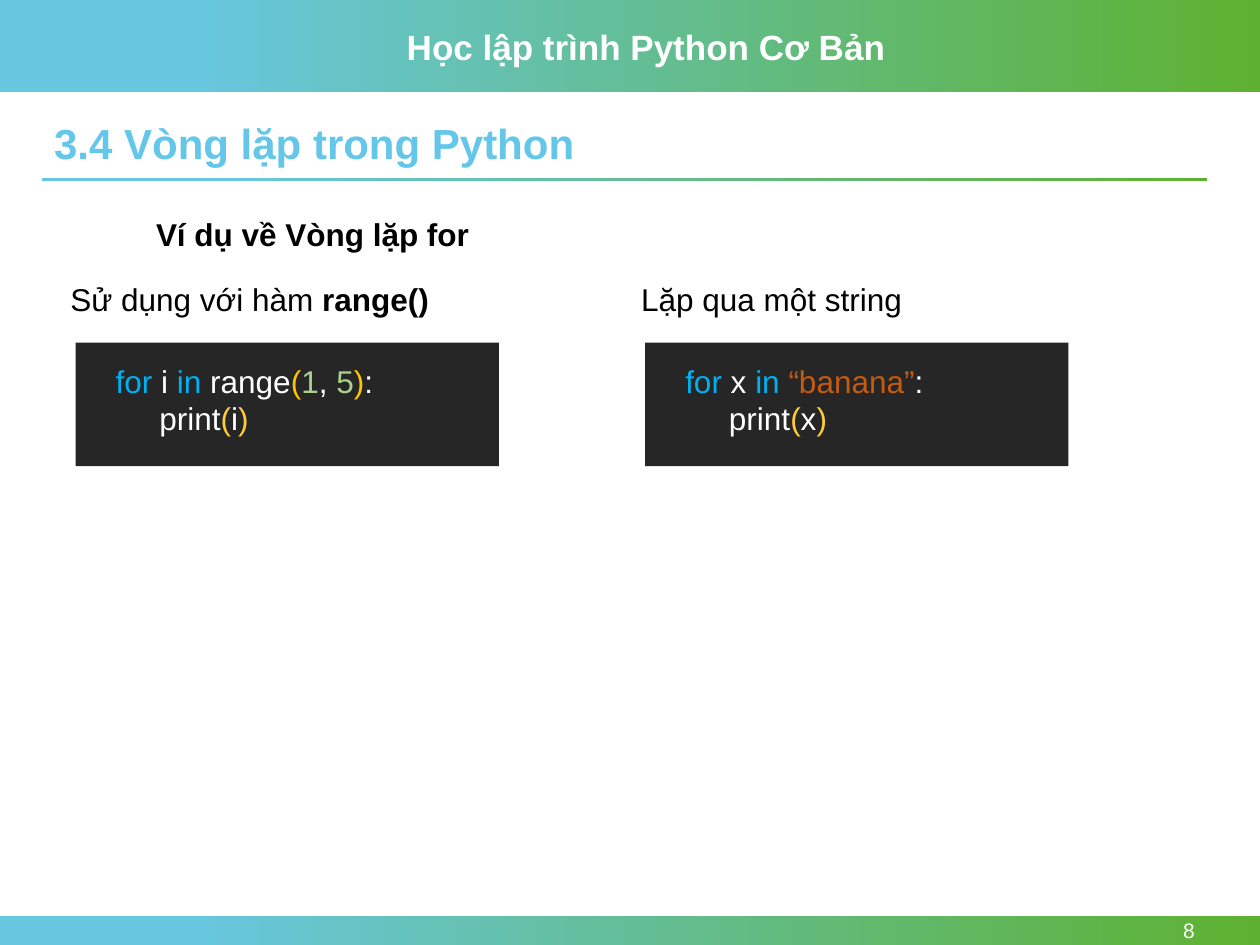
from pptx import Presentation
from pptx.dml.color import RGBColor
from pptx.enum.shapes import MSO_SHAPE
from pptx.enum.text import MSO_ANCHOR, MSO_AUTO_SIZE, PP_ALIGN
from pptx.util import Inches, Pt

RECTANGLE = MSO_SHAPE.RECTANGLE
TOP, MIDDLE = MSO_ANCHOR.TOP, MSO_ANCHOR.MIDDLE
NO_AUTO_SIZE = MSO_AUTO_SIZE.NONE
LEFT, RIGHT = PP_ALIGN.LEFT, PP_ALIGN.RIGHT

FONT = "Arial"
TITLE_ONLY = 5
SKY = RGBColor(0x67, 0xC7, 0xDF)
GREEN = RGBColor(0x5E, 0xB1, 0x30)
HEADING = RGBColor(0x64, 0xC7, 0xE9)
WHITE = RGBColor(0xFF, 0xFF, 0xFF)
BLACK = RGBColor(0x00, 0x00, 0x00)
CODE_BACKGROUND = RGBColor(0x26, 0x26, 0x26)
KEYWORD = RGBColor(0x00, 0xB0, 0xF0)
NUMBER = RGBColor(0xA9, 0xD1, 0x8E)
STRING = RGBColor(0xC5, 0x5A, 0x11)
BRACKET = RGBColor(0xFF, 0xC5, 0x00)
INNER_BRACKET = RGBColor(0xFE, 0xCC, 0x36)


def format_font(font, size, color, bold=False):
    font.name = FONT
    font.size = Pt(size)
    font.bold = bold
    font.color.rgb = color


def add_rectangle(slide, left, top, width, height):
    shape = slide.shapes.add_shape(
        RECTANGLE, Inches(left), Inches(top), Inches(width), Inches(height))
    shape.shadow.inherit = False
    shape.line.fill.background()
    return shape


def add_gradient_bar(slide, left, top, width, height):
    fill = add_rectangle(slide, left, top, width, height).fill
    fill.gradient()
    fill.gradient_angle = 0
    for stop, position, color in zip(fill.gradient_stops, (0.15, 1), (SKY, GREEN)):
        stop.position = position
        stop.color.rgb = color


def add_text(slide, left, top, width, height, lines, size=18):
    box = slide.shapes.add_textbox(
        Inches(left), Inches(top), Inches(width), Inches(height))
    text_frame = box.text_frame
    text_frame.word_wrap = True
    for index, line in enumerate(lines):
        paragraph = text_frame.add_paragraph() if index else text_frame.paragraphs[0]
        for text, color, bold in line:
            run = paragraph.add_run()
            run.text = text
            format_font(run.font, size, color, bold)
    return text_frame


def add_heading(slide, text):
    title = slide.shapes.title
    title.left, title.top = Inches(0.33), Inches(0.93)
    title.width, title.height = Inches(9.25), Inches(0.46)
    text_frame = title.text_frame
    text_frame.text = text
    text_frame.auto_size = NO_AUTO_SIZE
    text_frame.vertical_anchor = TOP
    paragraph = text_frame.paragraphs[0]
    paragraph.alignment = LEFT
    paragraph.line_spacing = 0.9
    format_font(paragraph.runs[0].font, 24, HEADING, True)


def add_example(slide, left, caption_left, caption_width, caption, code):
    panel = add_rectangle(slide, left, 2.72, 3.36, 0.98)
    panel.fill.solid()
    panel.fill.fore_color.rgb = CODE_BACKGROUND
    lines = [[(text, color, False) for text, color in line] for line in code]
    add_text(slide, left + 0.22, 2.82, 2.89, 0.71, lines)
    add_text(slide, caption_left, 2.17, caption_width, 0.4, [caption])


def print_line(variable):
    return [("     print", WHITE), ("(", INNER_BRACKET),
            (variable, WHITE), (")", INNER_BRACKET)]


def main():
    presentation = Presentation()
    presentation.slide_width = Inches(10)
    presentation.slide_height = Inches(7.5)
    slide = presentation.slides.add_slide(presentation.slide_layouts[TITLE_ONLY])

    add_gradient_bar(slide, 0, 0, 10, 0.73)
    add_gradient_bar(slide, 0, 7.27, 10, 0.23)
    add_gradient_bar(slide, 0.33, 1.41, 9.25, 0.03)
    add_text(slide, 3.13, 0.15, 4, 0.44,
             [[("Học lập trình Python Cơ Bản", WHITE, True)]], 20)
    page_number = add_text(slide, 8.66, 7.27, 0.92, 0.23, [[("8", WHITE, False)]], 12)
    page_number.vertical_anchor = MIDDLE
    page_number.paragraphs[0].alignment = RIGHT

    add_heading(slide, "3.4 Vòng lặp trong Python")
    add_text(slide, 1.14, 1.66, 7.73, 0.4, [[("Ví dụ về Vòng lặp for", BLACK, True)]])

    range_loop = [("for ", KEYWORD), ("i ", WHITE), ("in", KEYWORD),
                  (" range", WHITE), ("(", BRACKET), ("1", NUMBER), (", ", WHITE),
                  ("5", NUMBER), (")", BRACKET), (":", WHITE)]
    string_loop = [("for", KEYWORD), (" x ", WHITE), ("in ", KEYWORD),
                   ("“banana”", STRING), (":", WHITE)]
    add_example(slide, 0.6, 0.46, 3.5,
                [("Sử dụng với hàm ", BLACK, False), ("range()", BLACK, True)],
                [range_loop, print_line("i")])
    add_example(slide, 5.12, 4.99, 2.83,
                [("Lặp qua một string", BLACK, False)],
                [string_loop, print_line("x")])

    presentation.save("out.pptx")


if __name__ == "__main__":
    main()
